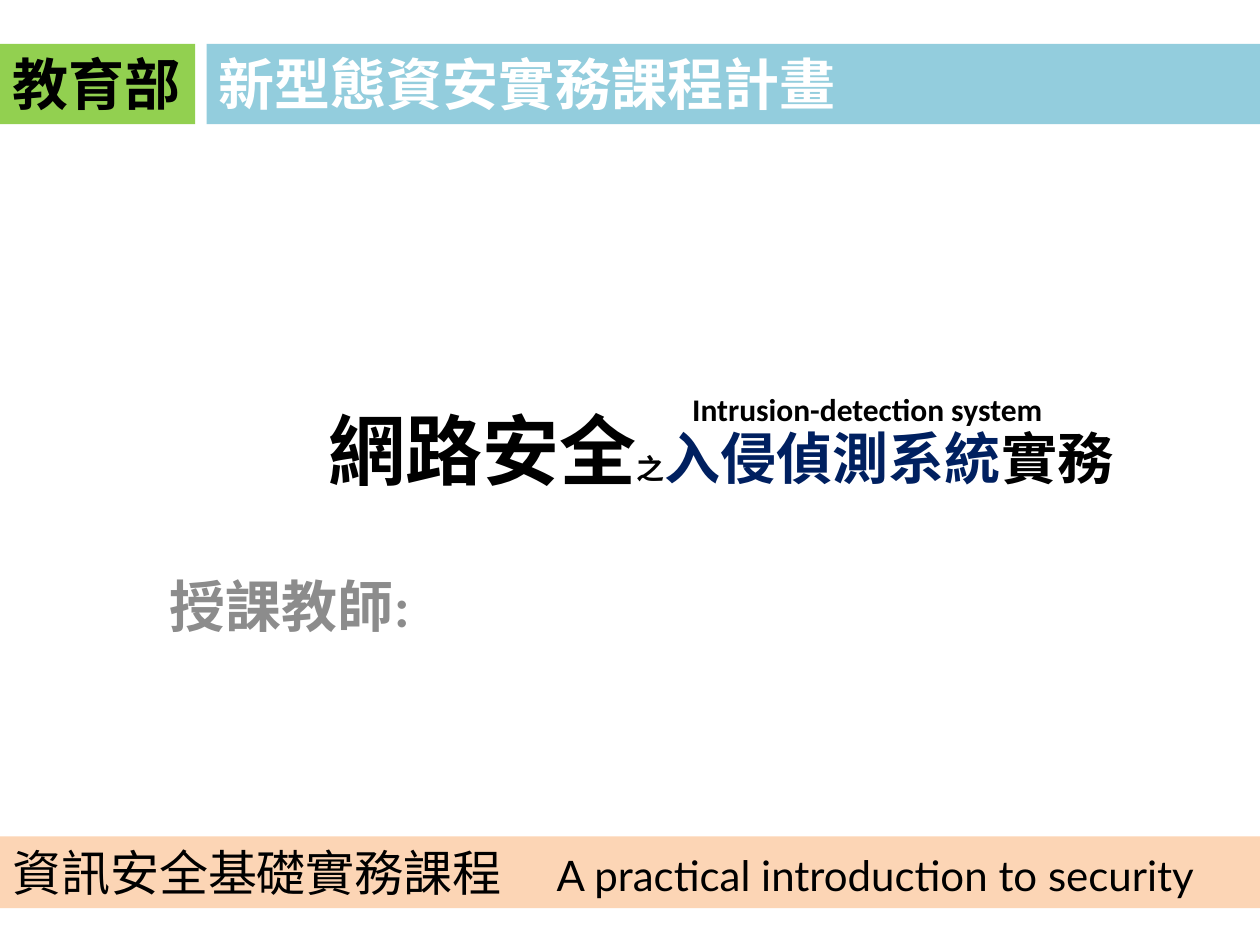
from lxml import etree
from pptx import Presentation
from pptx.dml.color import RGBColor
from pptx.enum import shapes, text
from pptx.oxml.ns import qn
from pptx.util import Pt

HUES = {"black": "000000", "white": "FFFFFF", "gray": "8C8C8C", "navy": "002060",
        "blue": "93CDDD", "green": "92D050", "peach": "FCD5B5"}
WIDE, HIGH = 720, 540


def hue(name):
    return RGBColor.from_string(HUES[name])


def style(font, size=None, color=None, name=None, bold=None):
    if size:
        font.size = Pt(size)
    if color:
        font.color.rgb = hue(color)
    if name:
        font.name = name
    if bold is not None:
        font.bold = bold


def write(shape, words, wrap=True, grow=False, **look):
    """Fill the shape's first paragraph with (text, run style) pairs."""
    frame = shape.text_frame
    frame.word_wrap = wrap
    if grow:
        frame.auto_size = text.MSO_AUTO_SIZE.SHAPE_TO_FIT_TEXT
    para = frame.paragraphs[0]
    para.alignment = text.PP_ALIGN.LEFT
    style(para.font, **look)
    for part, extra in words:
        run = para.add_run()
        run.text = part
        style(run.font, **extra)
    return para


def label(slide, box, words, **look):
    shape = slide.shapes.add_textbox(*map(Pt, box))
    return write(shape, words, **look)


def band(slide, box, fill, words, **look):
    shape = slide.shapes.add_shape(shapes.MSO_SHAPE.RECTANGLE, *map(Pt, box))
    shape.shadow.inherit = False
    shape.fill.solid()
    shape.fill.fore_color.rgb = hue(fill)
    shape.line.fill.background()
    shape.text_frame.vertical_anchor = text.MSO_ANCHOR.TOP
    return write(shape, words, grow=True, **look)


def header(slide, box):
    left, top, width, height = box
    tag, gap = 111.5, 6.5
    look = dict(size=32, name="Calibri", bold=True)
    start = left + tag + gap
    band(slide, (start, top, left + width - start, height), "blue",
         [("新型態資安實務課程計畫", {})], color="white", **look)
    band(slide, (left, top, tag, height), "green",
         [("教育部", {})], color="black", wrap=False, **look)


def title(slide, box):
    left, top, width, height = box
    words = [("網路安全", dict(size=44, color="black")),
             ("之", dict(size=16, color="black")),
             ("入侵偵測系統", dict(size=32, color="navy")),
             ("實務", dict(size=32, color="black"))]
    shape = slide.shapes.add_textbox(*map(Pt, box))
    shape.text_frame.vertical_anchor = text.MSO_ANCHOR.MIDDLE
    para = write(shape, words, name="Calibri", bold=True)
    para.alignment = text.PP_ALIGN.CENTER
    # English gloss above the course name
    label(slide, (left + 215.5, top - 3, 216, 29), [("Intrusion-detection system", {})],
          wrap=False, grow=True, size=18, color="black", name="Calibri", bold=True)


def teacher(slide, box):
    label(slide, box, [("授課教師:", {})],
          size=32, color="gray", name="Calibri", bold=True)


def footer(slide, box):
    words = [("資訊安全基礎實務課程\t", dict(size=28, name="Noto Sans CJK SC")),
             ("A practical introduction to security", dict(size=24, name="Lato"))]
    para = band(slide, box, "peach", words, color="black")
    # Tab stop where the English name starts
    stops = etree.Element(qn("a:tabLst"))
    etree.SubElement(stops, qn("a:tab"), pos=str(Pt(311)), algn="l")
    para._p.get_or_add_pPr().insert(0, stops)


def main():
    deck = Presentation()
    deck.slide_width, deck.slide_height = Pt(WIDE), Pt(HIGH)
    slide = deck.slides.add_slide(deck.slide_layouts[6])
    header(slide, (0, 25, WIDE, 46))
    title(slide, (173, 222.5, 478, 68))
    teacher(slide, (90, 323, 540, 91))
    footer(slide, (0, 478, WIDE, 41))
    deck.save("out.pptx")


if __name__ == "__main__":
    main()
